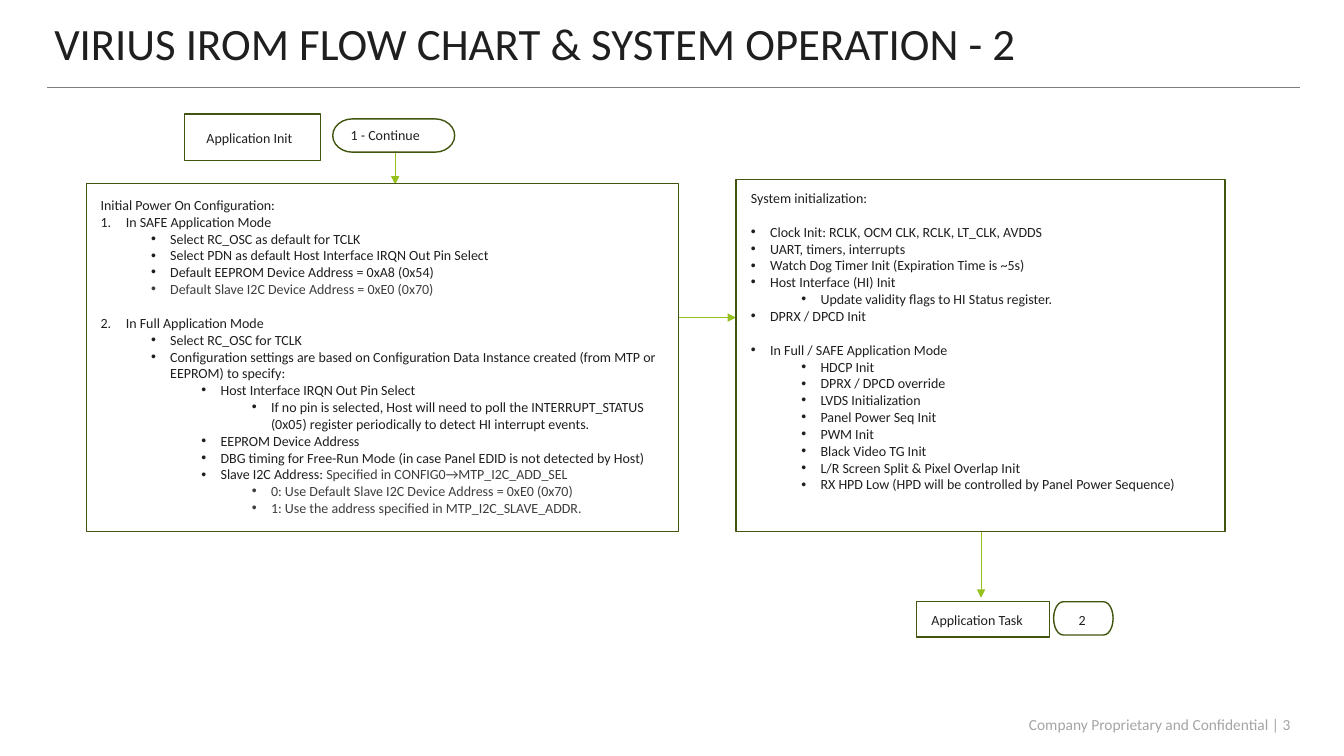
from lxml import etree
from pptx import Presentation
from pptx.dml.color import RGBColor
from pptx.enum.shapes import MSO_CONNECTOR, MSO_SHAPE
from pptx.enum.text import MSO_ANCHOR, PP_ALIGN
from pptx.oxml.ns import qn
from pptx.util import Inches, Pt

COLORS = {"text": "201F1F", "soft": "3F3E3E", "footer": "A6A4A4",
          "border": "41550E", "arrow": "95C11F", "rule": "7F7E7E"}
FONT = "Calibri"
BODY_SIZE = 10
LINE_HEIGHT = 12.2  # points, one line of body text

TITLE = "VIRIUS IROM FLOW CHART & SYSTEM OPERATION - 2"
FOOTER = "Company Proprietary and Confidential | 3"

# Outline entries: (style, text, options)
# Styles: "head" is plain, "number" is numbered, 0 to 3 are bullet levels.
POWER_ON = [
    ("head", "Initial Power On Configuration:", {}),
    ("number", "In SAFE Application Mode", {}),
    (1, "Select RC_OSC as default for TCLK", {}),
    (1, "Select PDN as default Host Interface IRQN Out Pin Select", {}),
    (1, "Default EEPROM Device Address = 0xA8 (0x54)", {}),
    (1, "Default Slave I2C Device Address = 0xE0 (0x70)", {"color": "soft"}),
    ("number", "In Full Application Mode", {"gap": True}),
    (1, "Select RC_OSC for TCLK", {}),
    (1, "Configuration settings are based on Configuration Data Instance "
        "created (from MTP or EEPROM) to specify:", {}),
    (2, "Host Interface IRQN Out Pin Select", {}),
    (3, "If no pin is selected, Host will need to poll the INTERRUPT_STATUS "
        "(0x05) register periodically to detect HI interrupt events.", {}),
    (2, "EEPROM Device Address", {}),
    (2, "DBG timing for Free-Run Mode (in case Panel EDID is not detected by Host)", {}),
    (2, "Slave I2C Address: ", {"detail": "Specified in CONFIG0→MTP_I2C_ADD_SEL"}),
    (3, "0: Use Default Slave I2C Device Address = 0xE0 (0x70)", {"color": "soft"}),
    (3, "1: Use the address specified in MTP_I2C_SLAVE_ADDR.", {"color": "soft"}),
]
SYSTEM_INIT = [
    ("head", "System initialization:", {}),
    (0, "Clock Init: RCLK, OCM CLK, RCLK, LT_CLK, AVDDS", {"gap": True}),
    (0, "UART, timers, interrupts", {}),
    (0, "Watch Dog Timer Init (Expiration Time is ~5s)", {}),
    (0, "Host Interface (HI) Init", {}),
    (1, "Update validity flags to HI Status register.", {}),
    (0, "DPRX / DPCD Init", {}),
    (0, "In Full / SAFE Application Mode", {"gap": True}),
    (1, "HDCP Init", {}),
    (1, "DPRX / DPCD override", {}),
    (1, "LVDS Initialization", {}),
    (1, "Panel Power Seq Init", {}),
    (1, "PWM Init", {}),
    (1, "Black Video TG Init", {}),
    (1, "L/R Screen Split & Pixel Overlap Init", {}),
    (1, "RX HPD Low (HPD will be controlled by Panel Power Sequence)", {}),
]

PROCESS = MSO_SHAPE.FLOWCHART_PROCESS
TERMINATOR = MSO_SHAPE.FLOWCHART_TERMINATOR

# Flow steps: (shape kind, shape box, text box, outline); boxes are left, top, width, height
STEPS = [
    (PROCESS, (7.3, 1.78, 4.85, 3.49), (7.35, 1.83, 4.71, 3.13), SYSTEM_INIT),
    (PROCESS, (0.86, 1.82, 5.87, 3.45), (0.9, 1.9, 5.7, 3.3), POWER_ON),
    (TERMINATOR, (3.3, 1.18, 1.21, 0.33), (3.38, 1.21, 1.03, 0.27),
     [("head", "1 - Continue", {})]),
    (PROCESS, (1.83, 1.13, 1.35, 0.46), (1.95, 1.24, 1.1, 0.27),
     [("head", "Application Init", {})]),
    (PROCESS, (9.09, 5.97, 1.32, 0.35), (9.14, 6.02, 1.25, 0.27),
     [("head", "Application Task", {})]),
    (TERMINATOR, (10.45, 5.97, 0.59, 0.33), (10.6, 6.02, 0.26, 0.27),
     [("head", "2", {})]),
]
ARROWS = [  # start x, start y, end x, end y
    (6.73, 3.15, 7.3, 3.15),
    (3.92, 1.5, 3.92, 1.83),
    (9.73, 5.27, 9.73, 5.93),
]


def color_of(name):
    return RGBColor.from_string(COLORS[name])


def add_run(paragraph, text, size=BODY_SIZE, color="text"):
    run = paragraph.add_run()
    run.text = text
    run.font.name = FONT
    run.font.size = Pt(size)
    run.font.color.rgb = color_of(color)


def add_text_box(slide, box, anchor=MSO_ANCHOR.TOP):
    frame = slide.shapes.add_textbox(*map(Inches, box)).text_frame
    frame.word_wrap = True
    frame.vertical_anchor = anchor
    return frame


def set_marker(paragraph, style):
    """Give a paragraph its hanging indent and its bullet or number."""
    numbered = style == "number"
    hang = 0.25 if numbered else 0.19
    left = hang if numbered else hang + 0.5 * style
    properties = paragraph._p.get_or_add_pPr()
    properties.set("marL", str(Inches(left)))
    properties.set("indent", str(-Inches(hang)))
    if numbered:
        etree.SubElement(properties, qn("a:buFont"), typeface="+mj-lt")
        etree.SubElement(properties, qn("a:buAutoNum"), type="arabicPeriod")
    else:
        paragraph.level = style
        etree.SubElement(properties, qn("a:buFont"), typeface="Arial")
        etree.SubElement(properties, qn("a:buChar"), char="•")


def write_outline(frame, outline):
    for index, (style, text, options) in enumerate(outline):
        paragraph = frame.add_paragraph() if index else frame.paragraphs[0]
        if options.get("gap"):
            paragraph.space_before = Pt(LINE_HEIGHT)
        if style != "head":
            set_marker(paragraph, style)
        add_run(paragraph, text, color=options.get("color", "text"))
        if "detail" in options:
            add_run(paragraph, options["detail"], color="soft")


def add_line(slide, ends, color, width, arrow=False):
    connector = slide.shapes.add_connector(MSO_CONNECTOR.STRAIGHT, *map(Inches, ends))
    connector.line.color.rgb = color_of(color)
    connector.line.width = Pt(width)
    if arrow:
        etree.SubElement(connector.line._get_or_add_ln(), qn("a:tailEnd"), type="triangle")
    etree.SubElement(connector._element.spPr, qn("a:effectLst"))


def add_step(slide, kind, shape_box, text_box, outline):
    shape = slide.shapes.add_shape(kind, *map(Inches, shape_box))
    shape.shadow.inherit = False
    shape.fill.background()
    shape.line.color.rgb = color_of("border")
    shape.line.width = Pt(1)
    write_outline(add_text_box(slide, text_box), outline)


def main():
    presentation = Presentation()
    presentation.slide_width = Inches(13.33)
    presentation.slide_height = Inches(7.5)
    slide = presentation.slides.add_slide(presentation.slide_layouts[6])

    title = add_text_box(slide, (0.44, 0.17, 11.07, 0.54)).paragraphs[0]
    title.line_spacing = 0.9
    add_run(title, TITLE, size=32)
    add_line(slide, (0.47, 0.87, 12.89, 0.87), "rule", 1)

    footer = add_text_box(slide, (8.35, 7.06, 4.55, 0.26), MSO_ANCHOR.MIDDLE).paragraphs[0]
    footer.alignment = PP_ALIGN.RIGHT
    add_run(footer, FOOTER, size=11, color="footer")

    for ends in ARROWS:
        add_line(slide, ends, "arrow", 0.5, arrow=True)
    for step in STEPS:
        add_step(slide, *step)

    presentation.save("out.pptx")


if __name__ == "__main__":
    main()
